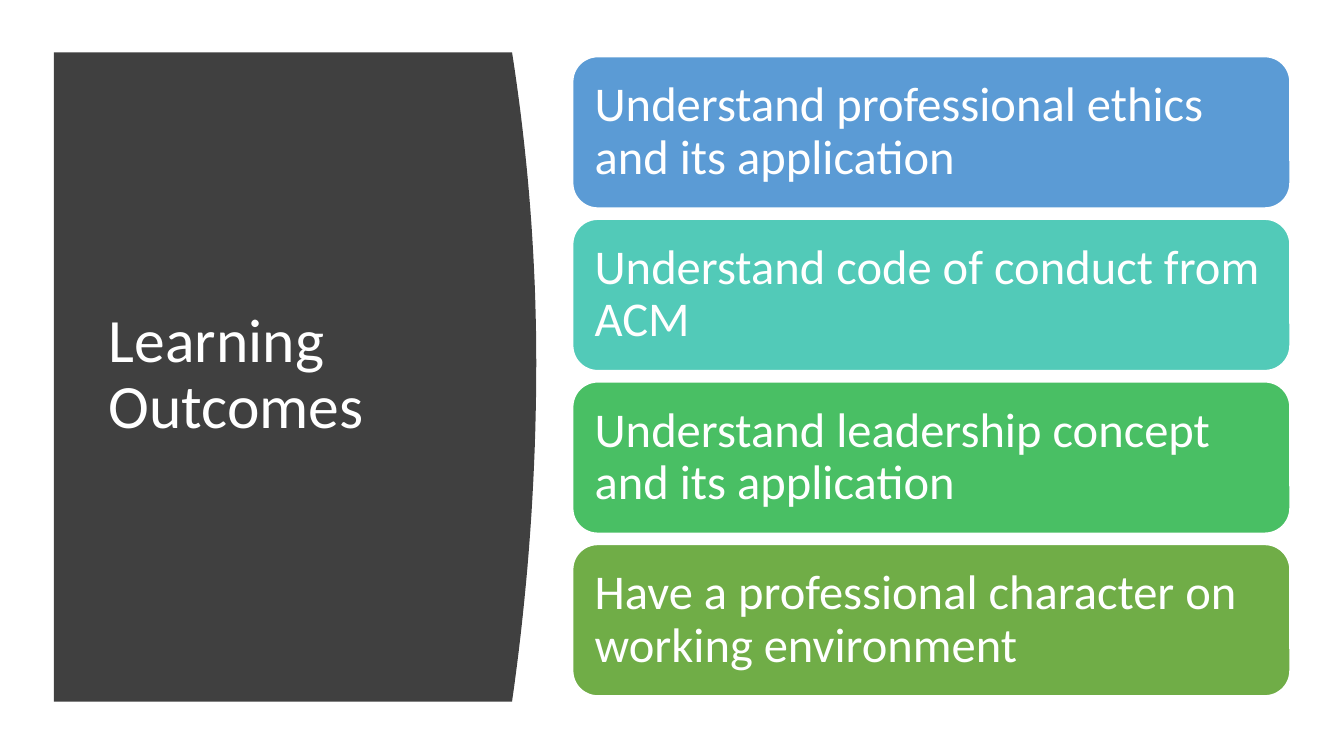
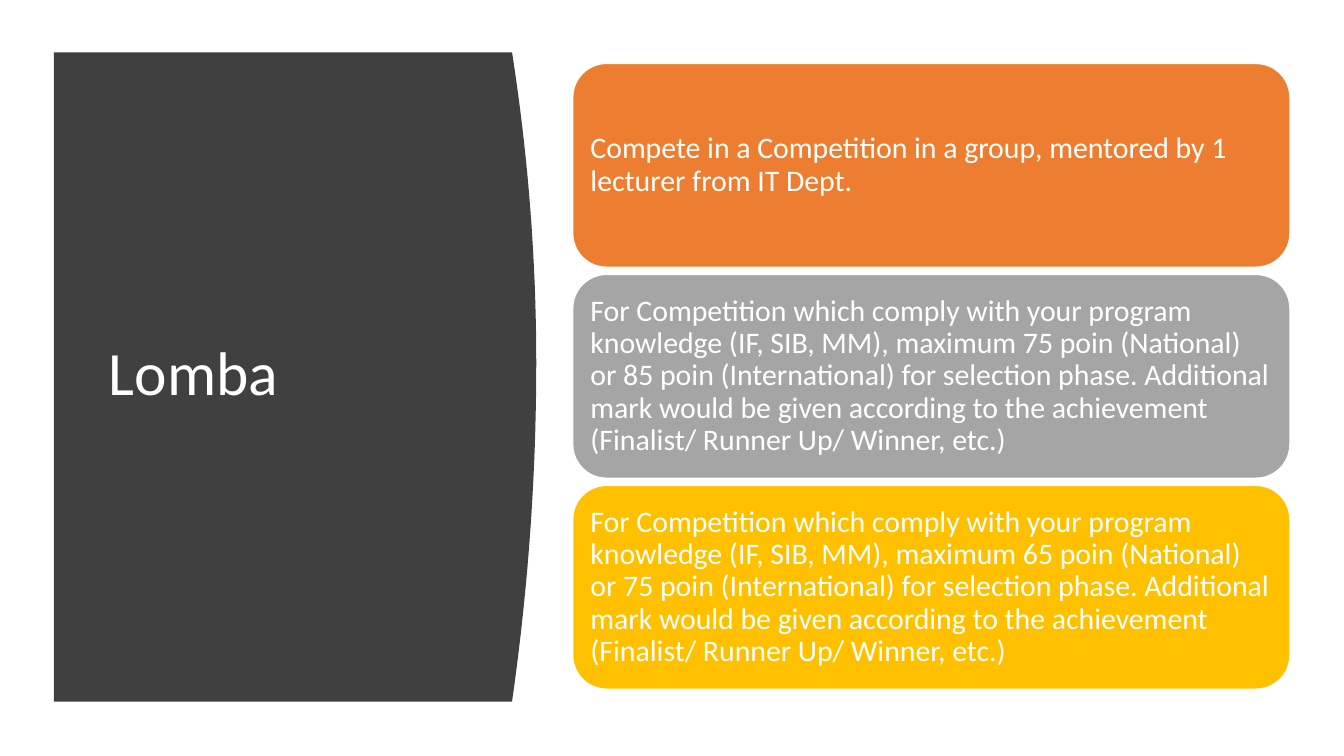
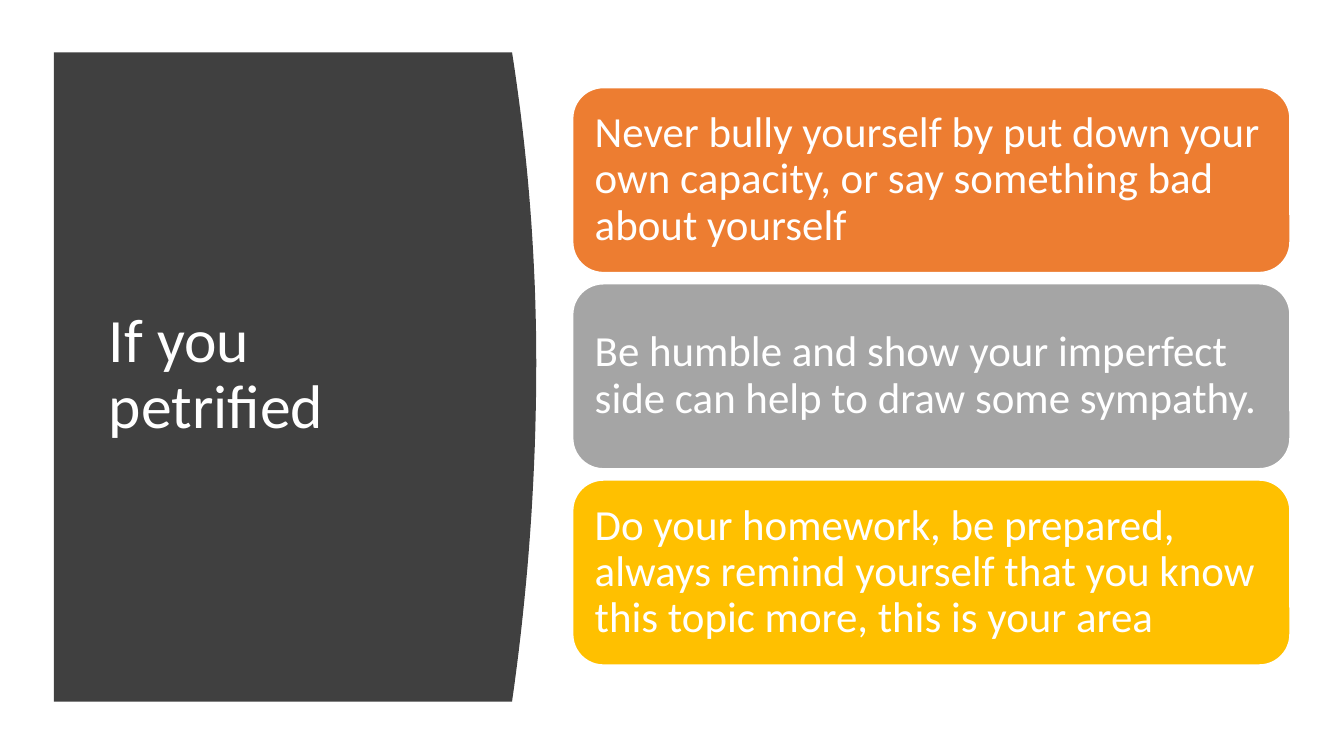
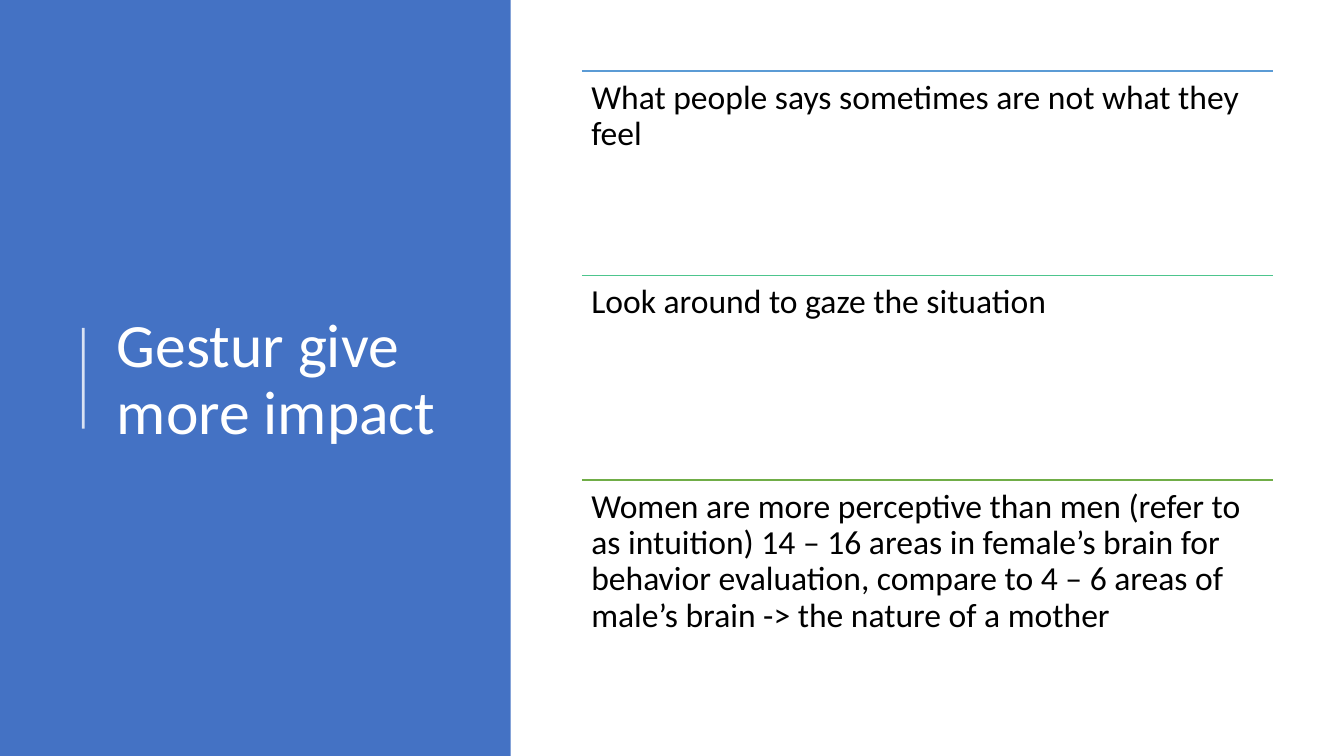
"""Build four slides with a title panel on the left and cards or ruled notes on the right."""
from lxml.etree import SubElement
from pptx import Presentation
from pptx.dml.color import RGBColor
from pptx.enum.shapes import MSO_CONNECTOR as Connector, MSO_SHAPE as Shape
from pptx.enum.text import MSO_ANCHOR as Anchor, MSO_AUTO_SIZE as AutoSize, PP_ALIGN as Align
from pptx.oxml.ns import qn
from pptx.util import Inches, Pt

FONT = "Calibri"
WHITE, BLACK, CHARCOAL, ROYAL = "FFFFFF", "000000", "404040", "4472C4"
BLUE, TEAL, GREEN, OLIVE, MINT = "5B9BD5", "52CAB8", "49BF64", "70AD47", "4DC58D"
ORANGE, GRAY, GOLD = "ED7D31", "A5A5A5", "FFC000"

COMPETITION = (
    "For Competition which comply with your program knowledge (IF, SIB, MM), "
    "maximum {} poin (National) or {} poin (International) for selection phase. "
    "Additional mark would be given according to the achievement "
    "(Finalist/ Runner Up/ Winner, etc.)"
)

card_pages = [
    {
        "title": "Learning Outcomes",
        "top": 0.42, "step": 1.21, "height": 1.13, "size": 26, "margin": 0.11,
        "cards": [
            (BLUE, "Understand professional ethics and its application"),
            (TEAL, "Understand code of conduct from ACM"),
            (GREEN, "Understand leadership concept and its application"),
            (OLIVE, "Have a professional character on working environment"),
        ],
    },
    {
        "title": "Lomba",
        "top": 0.47, "step": 1.57, "height": 1.52, "size": 16, "margin": 0.06,
        "cards": [
            (ORANGE, "Compete in a Competition in a group, mentored by 1 lecturer from IT Dept."),
            (GRAY, COMPETITION.format(75, 85)),
            (GOLD, COMPETITION.format(65, 75)),
        ],
    },
    {
        "title": "If you petrified",
        "top": 0.65, "step": 1.46, "height": 1.38, "size": 23, "margin": 0.1,
        "cards": [
            (ORANGE, "Never bully yourself by put down your own capacity, "
                     "or say something bad about yourself"),
            (GRAY, "Be humble and show your imperfect side can help to draw some sympathy."),
            (GOLD, "Do your homework, be prepared, always remind yourself "
                   "that you know this topic more, this is your area"),
        ],
    },
]

gesture_notes = [
    (BLUE, "What people says sometimes are not what they feel"),
    (MINT, "Look around to gaze the situation"),
    (OLIVE, "Women are more perceptive than men (refer to as intuition) 14 – 16 areas in "
            "female’s brain for behavior evaluation, compare to 4 – 6 areas of male’s brain "
            "-> the nature of a mother"),
]


def paint(fill, color):
    """Give a fill one solid colour."""
    fill.solid()
    fill.fore_color.rgb = RGBColor.from_string(color)


def write(box, text, size, color, margin=None, anchor=Anchor.MIDDLE):
    """Write one left-aligned paragraph into a box."""
    frame = box.text_frame
    frame.word_wrap = True
    frame.auto_size = AutoSize.NONE
    frame.vertical_anchor = anchor
    if margin is not None:
        frame.margin_left = frame.margin_right = Inches(margin)
        frame.margin_top = frame.margin_bottom = Inches(margin)
    para = frame.paragraphs[0]
    para.alignment = Align.LEFT
    para.line_spacing = 0.9
    span = para.add_run()
    span.text = text
    span.font.name = FONT
    span.font.size = Pt(size)
    paint(span.font.fill, color)


deck = Presentation()
deck.slide_width, deck.slide_height = Inches(10), Inches(10) * 9 // 16
title_only = deck.slide_layouts[5]

curve = []
for step in range(-20, 21):
    turn = step / 20
    reach = 2.31 if turn < 0 else 2.52
    curve.append((Inches(3.99 - 0.18 * turn ** 2), Inches(2.7 + reach * turn)))

pages = []
for title_text, place in [
    *[(content["title"], (0.71, 0.83, 2.8, 3.93)) for content in card_pages],
    ("Gestur give more impact", (0.77, 0.58, 2.76, 4.51)),
]:
    page = deck.slides.add_slide(title_only)
    title = page.shapes.title
    title.left, title.top, title.width, title.height = [Inches(length) for length in place]
    write(title, title_text, 33, WHITE)
    pages.append(page)

for page, content in zip(pages, card_pages):
    builder = page.shapes.build_freeform(Inches(0.4), Inches(0.39))
    builder.add_line_segments([*curve, (Inches(0.4), Inches(5.22))], close=True)
    panel = builder.convert_to_shape()
    panel.shadow.inherit = False
    paint(panel.fill, CHARCOAL)
    panel.line.fill.background()
    page.shapes.title.element.addprevious(panel.element)

    for row, (color, text) in enumerate(content["cards"]):
        card = page.shapes.add_shape(
            Shape.ROUNDED_RECTANGLE,
            Inches(4.26), Inches(content["top"] + row * content["step"]),
            Inches(5.34), Inches(content["height"]),
        )
        card.shadow.inherit = False
        paint(card.fill, color)
        paint(card.line.fill, WHITE)
        card.line.width = Pt(1)
        write(card, text, content["size"], WHITE, content["margin"])

page = pages[-1]
panel = page.shapes.add_shape(Shape.RECTANGLE, 0, 0, Inches(3.8), deck.slide_height)
panel.shadow.inherit = False
paint(panel.fill, ROYAL)
panel.line.fill.background()
page.shapes.title.element.addprevious(panel.element)

rules = [(0.62, 3.19, 0.62, 2.44, WHITE, 1.5)]
for row, (color, text) in enumerate(gesture_notes):
    top = 0.53 + row * 1.52
    rules.append((4.33, top, 9.47, top, color, 1))
    note = page.shapes.add_textbox(Inches(4.33), Inches(top), Inches(5.14), Inches(1.52))
    write(note, text, 18, BLACK, 0.07, Anchor.TOP)

for *ends, color, width in rules:
    rule = page.shapes.add_connector(Connector.STRAIGHT, *[Inches(end) for end in ends])
    paint(rule.line.fill, color)
    rule.line.width = Pt(width)
    SubElement(rule.element.spPr, qn("a:effectLst"))
    if color == WHITE:
        tint = rule.element.spPr.find(".//" + qn("a:srgbClr"))
        SubElement(tint, qn("a:alpha"), val="80000")

deck.save("out.pptx")
